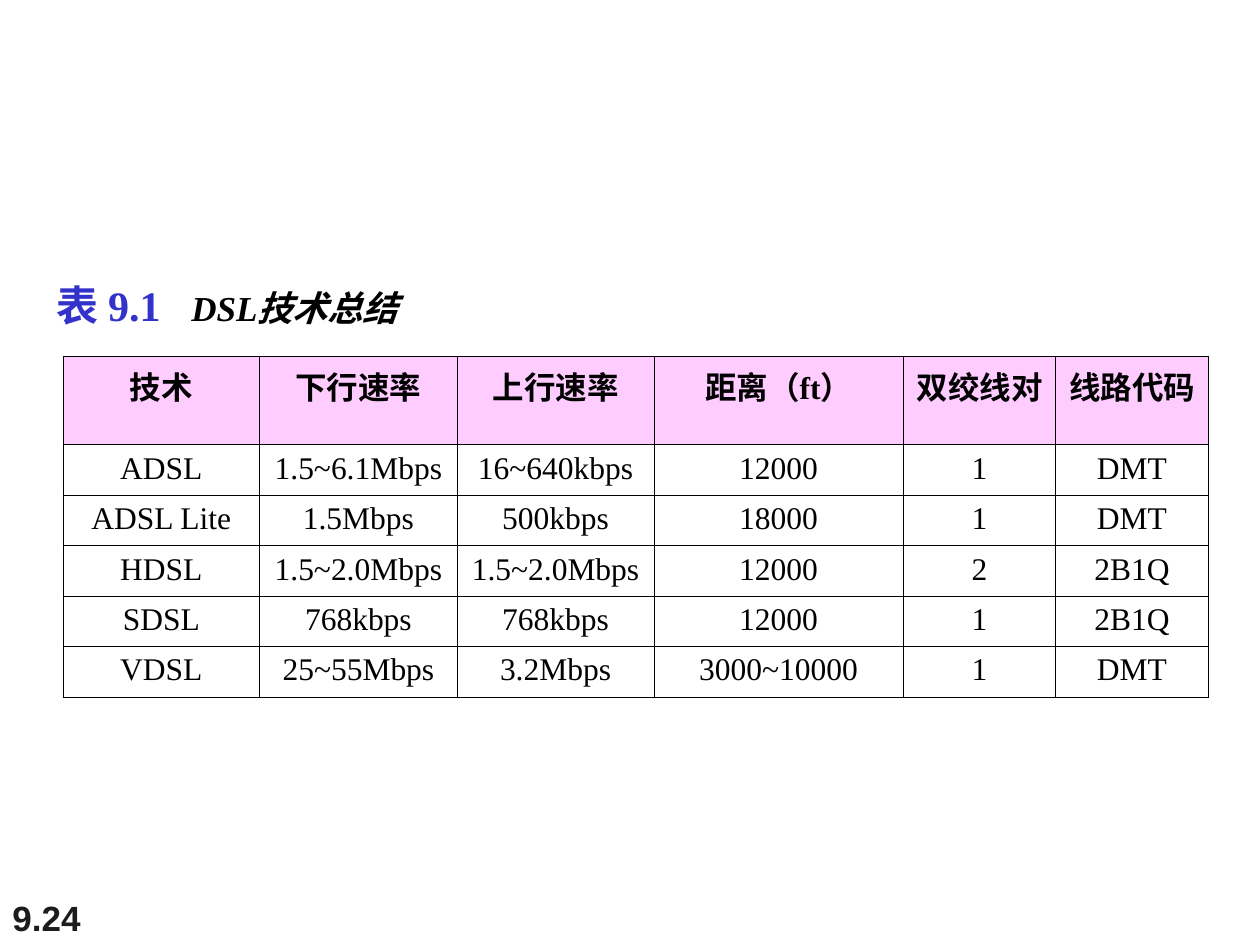
from dataclasses import dataclass

from lxml import etree
from pptx import Presentation
from pptx.dml.color import RGBColor
from pptx.enum.text import MSO_ANCHOR, MSO_AUTO_SIZE, PP_ALIGN
from pptx.oxml.ns import qn
from pptx.util import Inches, Pt

CENTER = PP_ALIGN.CENTER
BOTTOM = MSO_ANCHOR.BOTTOM
GROW = MSO_AUTO_SIZE.SHAPE_TO_FIT_TEXT


@dataclass(frozen=True)
class Theme:
    serif: str = "Times New Roman"
    sans: str = "Arial"
    ink: str = "000000"
    label: str = "3333CC"
    page: str = "1C1C1C"
    header: str = "FFCCFF"
    label_size: int = 24
    title_size: int = 20
    cell_size: int = 18
    border: float = 0.45


THEME = Theme()
WIDTH, HEIGHT = 10, 7.5

# Table grid, in inches
TABLE_LEFT, TABLE_TOP = 0.5, 2.83
COLUMNS = [1.56, 1.57, 1.56, 1.98, 1.21, 1.21]
HEADER_HEIGHT, ROW_HEIGHT = 0.7, 0.4
TITLE_TAB = 1.07

HEADINGS = ["技术", "下行速率", "上行速率", "距离（ft）", "双绞线对", "线路代码"]
TECHNOLOGIES = [
    ["ADSL", "1.5~6.1Mbps", "16~640kbps", "12000", "1", "DMT"],
    ["ADSL Lite", "1.5Mbps", "500kbps", "18000", "1", "DMT"],
    ["HDSL", "1.5~2.0Mbps", "1.5~2.0Mbps", "12000", "2", "2B1Q"],
    ["SDSL", "768kbps", "768kbps", "12000", "1", "2B1Q"],
    ["VDSL", "25~55Mbps", "3.2Mbps", "3000~10000", "1", "DMT"],
]


def style(font, face, size, color, bold=False, italic=False):
    font.name, font.size = face, Pt(size)
    font.bold, font.italic = bold, italic
    font.color.rgb = RGBColor.from_string(color)


def add_text_frame(slide, left, top, width, height):
    box = slide.shapes.add_textbox(*map(Inches, (left, top, width, height)))
    return box.text_frame


def add_caption(slide):
    frame = add_text_frame(slide, 0.35, 2.17, 2.98, 0.5)
    frame.word_wrap = False
    frame.auto_size = GROW
    caption = frame.paragraphs[0]
    # The title starts at a tab stop after the table number
    tabs = etree.SubElement(caption._p.get_or_add_pPr(), qn("a:tabLst"))
    etree.SubElement(tabs, qn("a:tab"), pos=str(Inches(TITLE_TAB)), algn="l")
    number, title = caption.add_run(), caption.add_run()
    number.text, title.text = "表 9.1\t", "DSL技术总结"
    style(number.font, THEME.serif, THEME.label_size, THEME.label, bold=True)
    style(title.font, THEME.serif, THEME.title_size, THEME.ink,
          bold=True, italic=True)


def add_page_number(slide):
    frame = add_text_frame(slide, 0, 7, 2.08, HEIGHT - 7)
    frame.word_wrap = True
    frame.vertical_anchor = BOTTOM
    number = frame.paragraphs[0]
    number.text = "9.24"
    style(number.font, THEME.sans, THEME.title_size, THEME.page, bold=True)


def outline_cell(cell):
    properties = cell._tc.get_or_add_tcPr()
    for position, side in enumerate(("lnL", "lnR", "lnT", "lnB")):
        line = etree.Element(qn(f"a:{side}"), w=str(Pt(THEME.border)))
        fill = etree.SubElement(line, qn("a:solidFill"))
        etree.SubElement(fill, qn("a:srgbClr"), val=THEME.ink)
        properties.insert(position, line)


def fill_cell(cell, text, is_heading):
    cell.text = text
    paragraph = cell.text_frame.paragraphs[0]
    paragraph.alignment = CENTER
    style(paragraph.font, THEME.serif, THEME.cell_size, THEME.ink,
          bold=is_heading)
    if is_heading:
        cell.fill.solid()
        cell.fill.fore_color.rgb = RGBColor.from_string(THEME.header)
    else:
        cell.fill.background()
    outline_cell(cell)


def add_technology_table(slide):
    rows = [HEADINGS] + TECHNOLOGIES
    heights = [HEADER_HEIGHT] + [ROW_HEIGHT] * len(TECHNOLOGIES)
    table = slide.shapes.add_table(
        len(rows), len(COLUMNS), Inches(TABLE_LEFT), Inches(TABLE_TOP),
        Inches(sum(COLUMNS)), Inches(sum(heights))).table
    for column, width in zip(table.columns, COLUMNS):
        column.width = Inches(width)
    for r, (texts, height) in enumerate(zip(rows, heights)):
        table.rows[r].height = Inches(height)
        for c, text in enumerate(texts):
            fill_cell(table.cell(r, c), text, is_heading=r == 0)


def main():
    deck = Presentation()
    deck.slide_width, deck.slide_height = Inches(WIDTH), Inches(HEIGHT)
    slide = deck.slides.add_slide(deck.slide_layouts[6])
    add_page_number(slide)
    add_caption(slide)
    add_technology_table(slide)
    deck.save("out.pptx")


if __name__ == "__main__":
    main()
